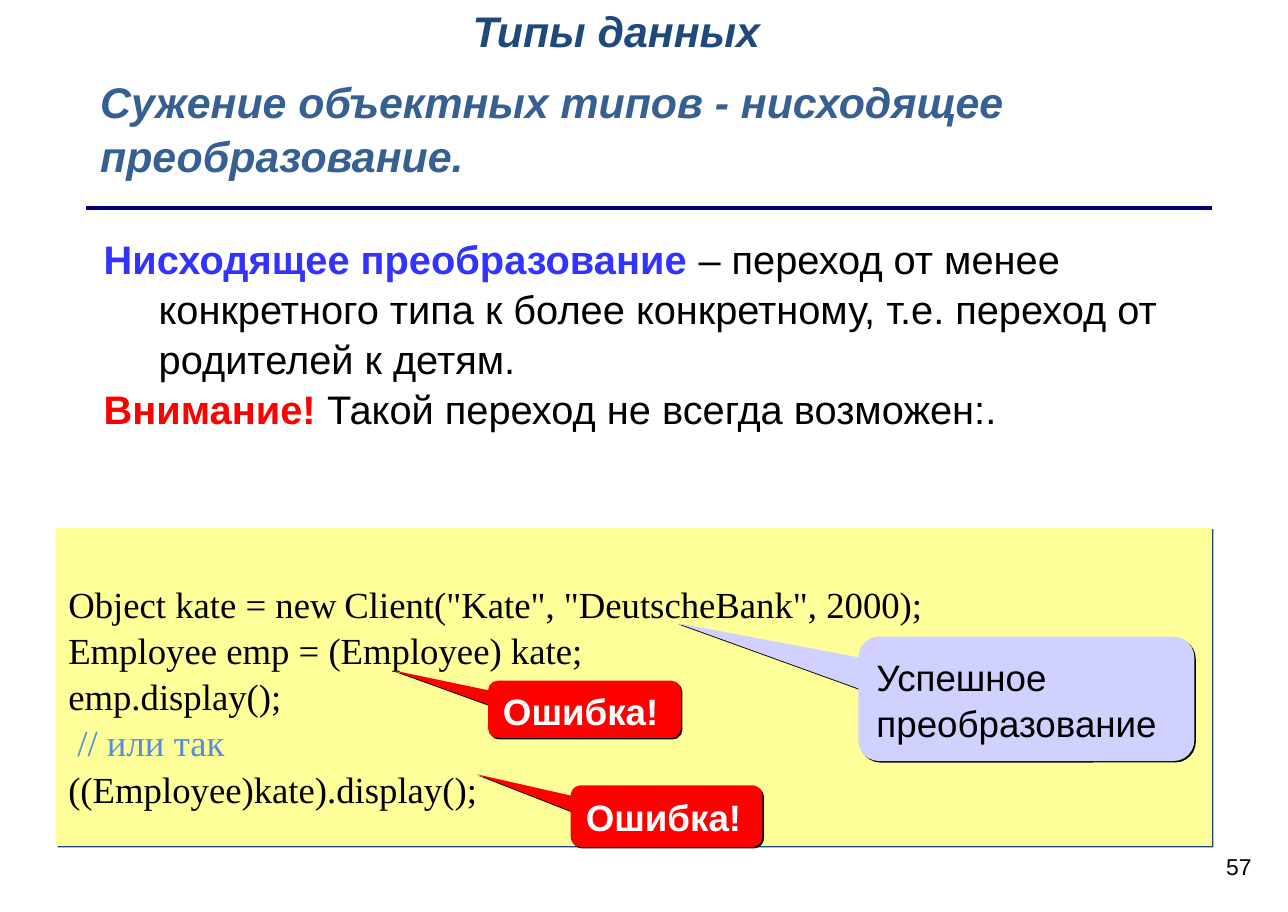
from pptx import Presentation
from pptx.dml.color import RGBColor
from pptx.enum.shapes import MSO_CONNECTOR, MSO_SHAPE
from pptx.enum.text import MSO_ANCHOR, MSO_AUTO_SIZE, PP_ALIGN
from pptx.oxml.ns import qn
from pptx.util import Inches, Pt
from lxml import etree

RECTANGLE = MSO_SHAPE.RECTANGLE
CALLOUT = MSO_SHAPE.ROUNDED_RECTANGULAR_CALLOUT
STRAIGHT = MSO_CONNECTOR.STRAIGHT
TOP, MIDDLE = MSO_ANCHOR.TOP, MSO_ANCHOR.MIDDLE
LEFT, RIGHT = PP_ALIGN.LEFT, PP_ALIGN.RIGHT
NO_AUTOFIT = MSO_AUTO_SIZE.NONE


def write_text(shape, paragraphs, size, font="Arial", color="000000", bold=False,
               italic=False, align=LEFT, anchor=TOP, margins=(0.1, 0.05),
               top_margin=None, hanging=0, wrap=True):
    frame = shape.text_frame
    frame.auto_size = NO_AUTOFIT
    frame.word_wrap = wrap
    frame.vertical_anchor = anchor
    frame.margin_left = frame.margin_right = Inches(margins[0])
    frame.margin_top = Inches(margins[1] if top_margin is None else top_margin)
    frame.margin_bottom = Inches(margins[1])
    for index, runs in enumerate(paragraphs):
        paragraph = frame.add_paragraph() if index else frame.paragraphs[0]
        paragraph.alignment = align
        paragraph.line_spacing = 1.05
        paragraph.space_before = Pt(0)
        if hanging:
            properties = paragraph._p.get_or_add_pPr()
            properties.set("marL", str(Inches(hanging)))
            properties.set("indent", str(-Inches(hanging)))
            etree.SubElement(properties, qn("a:buNone"))
        for text, changes in runs:
            run = paragraph.add_run()
            run.text = text
            run.font.name = font
            run.font.size = Pt(changes.get("size", size))
            run.font.bold = changes.get("bold", bold)
            run.font.italic = italic
            run.font.color.rgb = RGBColor.from_string(changes.get("color", color))


def add_panel(kind, box, fill, shadow):
    shape = slide.shapes.add_shape(kind, *map(Inches, box))
    shape.fill.solid()
    shape.fill.fore_color.rgb = RGBColor.from_string(fill)
    shape.line.fill.background()
    shape.shadow.inherit = False
    effects = shape._element.spPr.find(qn("a:effectLst"))
    outer = etree.SubElement(effects, qn("a:outerShdw"), blurRad="0",
                             dist=str(Pt(1.4)), dir="2700000", algn="ctr", rotWithShape="0")
    etree.SubElement(outer, qn("a:srgbClr"), val=shadow)
    return shape


presentation = Presentation()
presentation.slide_width = Inches(11.69)
presentation.slide_height = Inches(8.28)
slide = presentation.slides.add_slide(presentation.slide_layouts[1])

title, body = slide.placeholders
title.left, title.top, title.width, title.height = map(Inches, (0.81, 0.61, 9.99, 1.04))
write_text(title, [[("Сужение объектных типов - нисходящее преобразование.", {})]],
           size=28, color="376092", bold=True, italic=True)

body.left, body.top, body.width, body.height = map(Inches, (0.84, 2.06, 10.1, 1.84))
definition = [
    [("Нисходящее преобразование", {"color": "3333FF", "bold": True}),
     (" – переход от менее конкретного типа к более конкретному, "
      "т.е. переход от родителей к детям.", {})],
    [("Внимание! ", {"color": "FF0000", "bold": True}),
     ("Такой переход не всегда возможен:.", {})],
]
write_text(body, definition, size=26, hanging=0.5)

rule = slide.shapes.add_connector(STRAIGHT, Inches(0.78), Inches(1.89), Inches(11), Inches(1.89))
rule.line.color.rgb = RGBColor.from_string("000080")
rule.line.width = Pt(3)
etree.SubElement(rule._element.spPr, qn("a:effectLst"))

section = slide.shapes.add_textbox(Inches(4.19), Inches(-0.03), Inches(2.82), Inches(0.57))
write_text(section, [[("Типы данных", {})]], size=28, color="1F497D",
           bold=True, italic=True, wrap=False)

page_number = slide.shapes.add_textbox(Inches(8.88), Inches(7.68), Inches(2.58), Inches(0.57))
write_text(page_number, [[("57", {})]], size=15, align=RIGHT)

code_panel = add_panel(RECTANGLE, (0.51, 4.79, 10.49, 2.89), "FFFF99", "1F497D")
code_lines = [
    [("Object kate = new", {}), (" ", {"size": 20}),
     ('Client("Kate", "DeutscheBank", 2000);', {})],
    [("Employee emp = (Employee) kate;", {})],
    [("emp.display();", {})],
    [(" // или так", {"color": "558ED5"})],
    [("((Employee)kate).display();", {})],
]
write_text(code_panel, code_lines, size=24, font="Times New Roman",
           margins=(0.11, 0.06), top_margin=0.47)

callouts = [
    ("Успешное преобразование", (7.79, 5.78, 3.05, 1.13), (-1.04, -0.61), "D1D1FF", "000000", False),
    ("Ошибка!", (4.43, 6.18, 1.75, 0.52), (-0.99, -0.68), "FF0000", "FFFFFF", True),
    ("Ошибка!", (5.18, 7.13, 1.74, 0.56), (-0.99, -0.68), "FF0000", "FFFFFF", True),
]
for text, box, tip, fill, color, bold in callouts:
    callout = add_panel(CALLOUT, box, fill, "000000")
    callout.adjustments[0], callout.adjustments[1] = tip
    write_text(callout, [[(text, {})]], size=24, color=color, bold=bold,
               anchor=MIDDLE, margins=(0.11, 0.06))

presentation.save("out.pptx")
